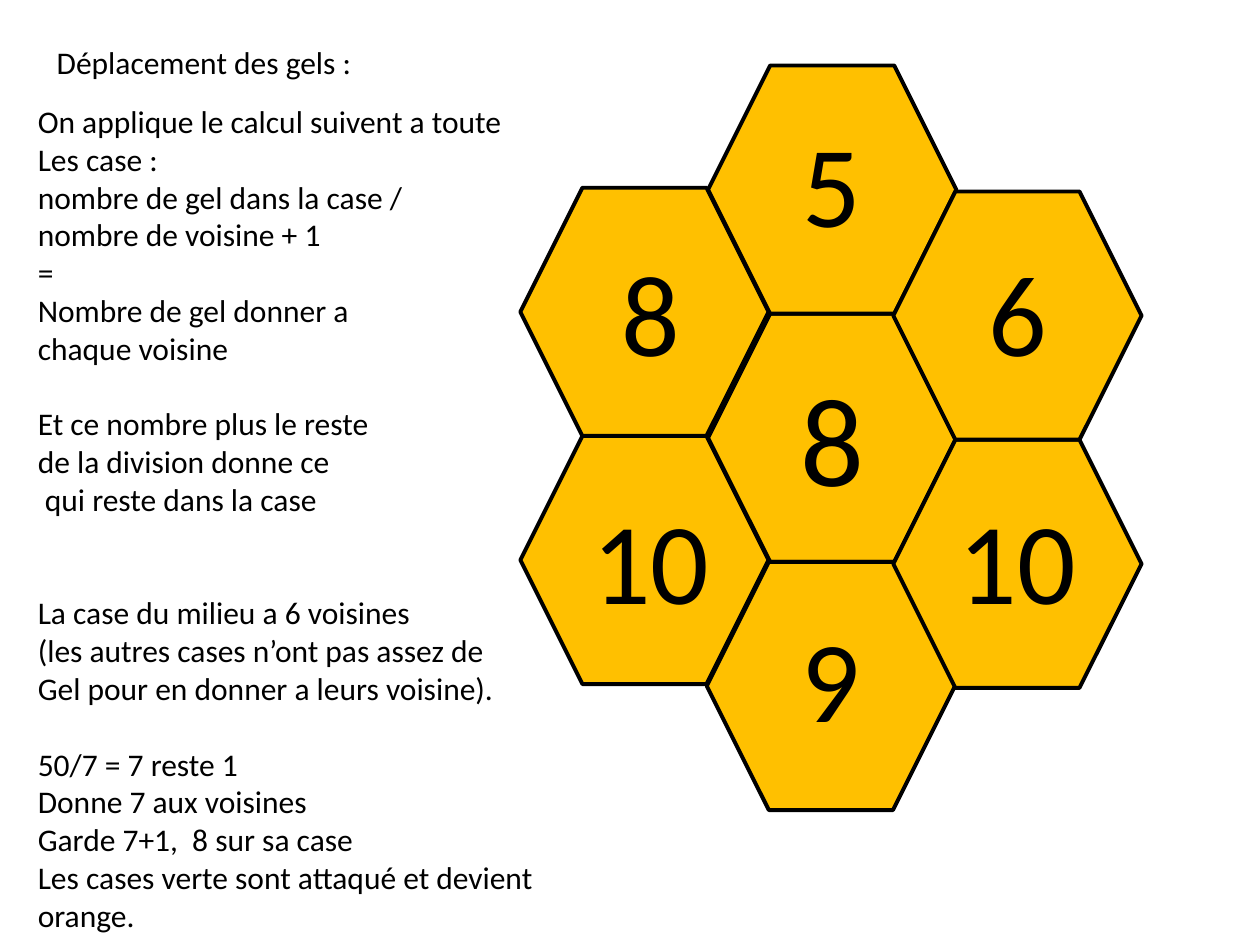
from pptx import Presentation
from pptx.dml.color import RGBColor
from pptx.enum import shapes, text
from pptx.util import Inches, Pt

BLACK = RGBColor(0, 0, 0)
AMBER = RGBColor(0xFF, 0xC0, 0)
FONT = "Calibri"
SIDE = 1.97
LINE = 21.6

# Hexagon left and top, number, text size, shift of the number from the centre
CELLS = [
    (0, 2.94, "10", 66, 0.05, -0.01),
    (1.49, 1.97, "8", 72, 0, -0.01),
    (1.48, 3.94, "9", 66, 0, -0.07),
    (2.96, 2.97, "10", 66, 0, -0.04),
    (0, 0.97, "8", 66, 0.05, -0.01),
    (1.49, 0, "5", 66, 0, -0.06),
    (2.96, 1, "6", 66, 0, -0.04),
]

# Blank lines before each block, then its lines
BLOCKS = [
    (0, ["On applique le calcul suivent a toute", "Les case :",
         "nombre de gel dans la case /", "nombre de voisine + 1", "=",
         "Nombre de gel donner a", "chaque voisine"]),
    (1, ["Et ce nombre plus le reste", "de la division donne ce",
         " qui reste dans la case"]),
    (2, ["La case du milieu a 6 voisines",
         "(les autres cases n’ont pas assez de",
         "Gel pour en donner a leurs voisine)."]),
    (1, ["50/7 = 7 reste 1", "Donne 7 aux voisines",
         "Garde 7+1,  8 sur sa case",
         "Les cases verte sont attaqué et devient", "orange."]),
]


def style(para, size, align):
    para.alignment = align
    para.line_spacing = 1.0
    para.space_before = Pt(0)
    for run in para.runs:
        run.font.size = Pt(size)
        run.font.name = FONT
        run.font.color.rgb = BLACK


def place(shape, left, top, width, height):
    shape.left, shape.top = Inches(left), Inches(top)
    shape.width, shape.height = Inches(width), Inches(height)
    frame = shape.text_frame
    frame.word_wrap = False
    frame.auto_size = text.MSO_AUTO_SIZE.NONE
    frame.vertical_anchor = text.MSO_ANCHOR.TOP
    return frame


def add_title(slide, left, top, width, height):
    frame = place(slide.shapes.title, left, top, width, height)
    frame.text = "Déplacement des gels :"
    style(frame.paragraphs[0], 18, text.PP_ALIGN.LEFT)


def add_rules(slide, left, top, width, height):
    frame = place(slide.placeholders[1], left, top, width, height)
    frame.text = "\n".join(line for _, lines in BLOCKS for line in lines)
    paras = iter(frame.paragraphs)
    for gap, lines in BLOCKS:
        for index in range(len(lines)):
            para = next(paras)
            style(para, 18, text.PP_ALIGN.LEFT)
            if index == 0:
                para.space_before = Pt(gap * LINE)
            props = para._p.get_or_add_pPr()
            props.set("marL", "0")
            props.set("indent", "0")
            bullet = props.makeelement(
                "{http://schemas.openxmlformats.org/drawingml/2006/main}buNone", {})
            props.append(bullet)


def add_comb(slide, left, top):
    """Draw the seven hexagons, then their numbers, in one group."""
    group = slide.shapes.add_group_shape().shapes
    for dx, dy, *_ in CELLS:
        cell = group.add_shape(
            shapes.MSO_SHAPE.HEXAGON, Inches(left + dx), Inches(top + dy),
            Inches(SIDE), Inches(SIDE))
        cell.shadow.inherit = False
        cell.fill.solid()
        cell.fill.fore_color.rgb = AMBER
        cell.line.color.rgb = BLACK
        cell.line.width = Pt(2.25)
    for dx, dy, number, size, right, down in CELLS:
        width, height = 1.35, 1.31 if size == 72 else 1.21
        label = group.add_textbox(0, 0, 0, 0)
        frame = place(label, left + dx + right + (SIDE - width) / 2,
                      top + dy + down + (SIDE - height) / 2, width, height)
        frame.text = number
        style(frame.paragraphs[0], size, text.PP_ALIGN.CENTER)


def main():
    deck = Presentation()
    deck.slide_width, deck.slide_height = Inches(10), Inches(7.5)
    slide = deck.slides.add_slide(deck.slide_layouts[1])
    add_comb(slide, 4.13, 0.52)
    add_title(slide, 0.35, 0.29, 2.57, 0.4)
    add_rules(slide, 0.2, 0.76, 4.34, 6.77)
    deck.save("out.pptx")


if __name__ == "__main__":
    main()
